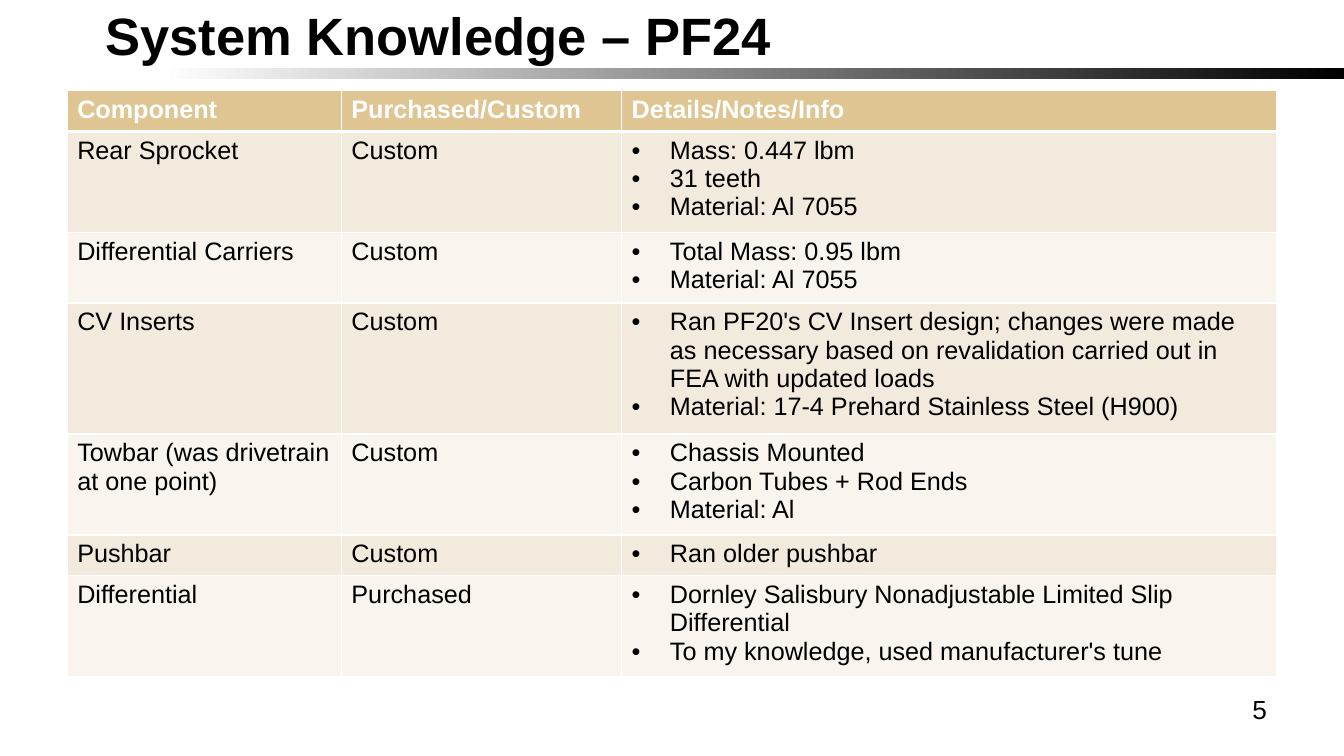
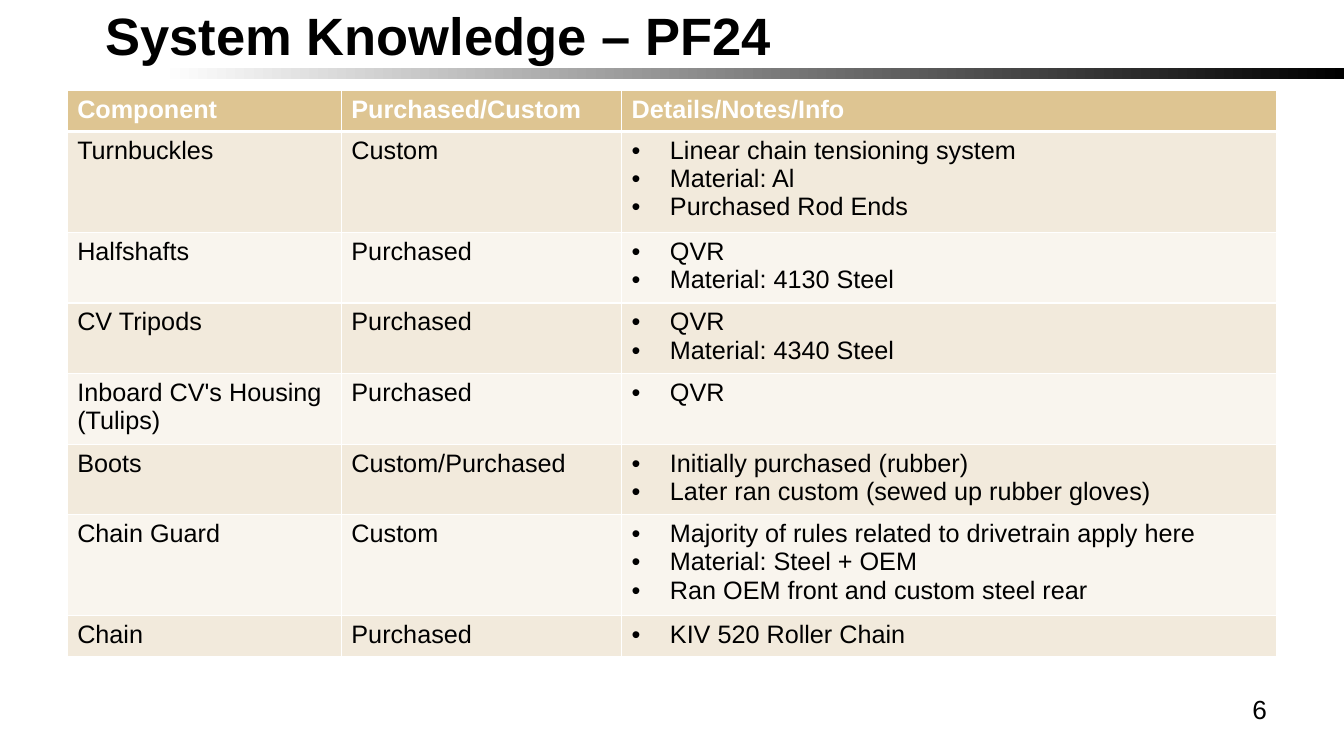
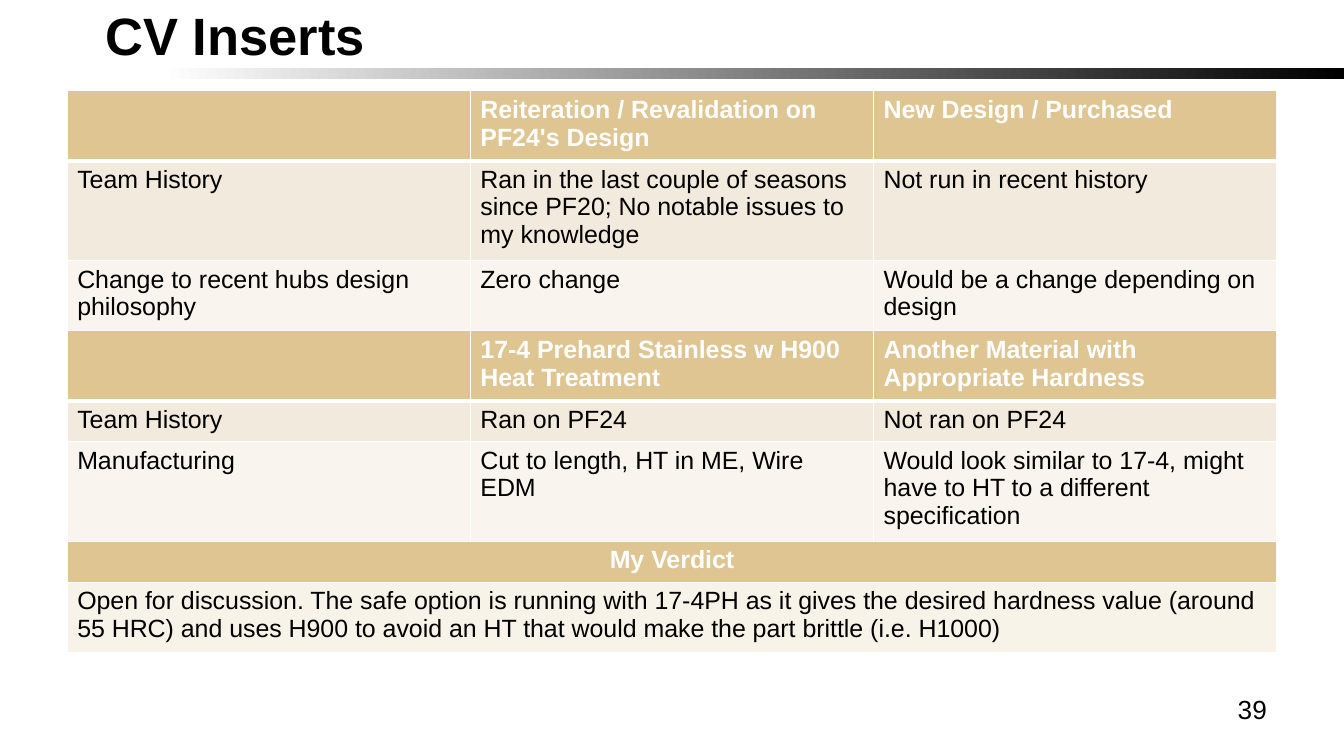
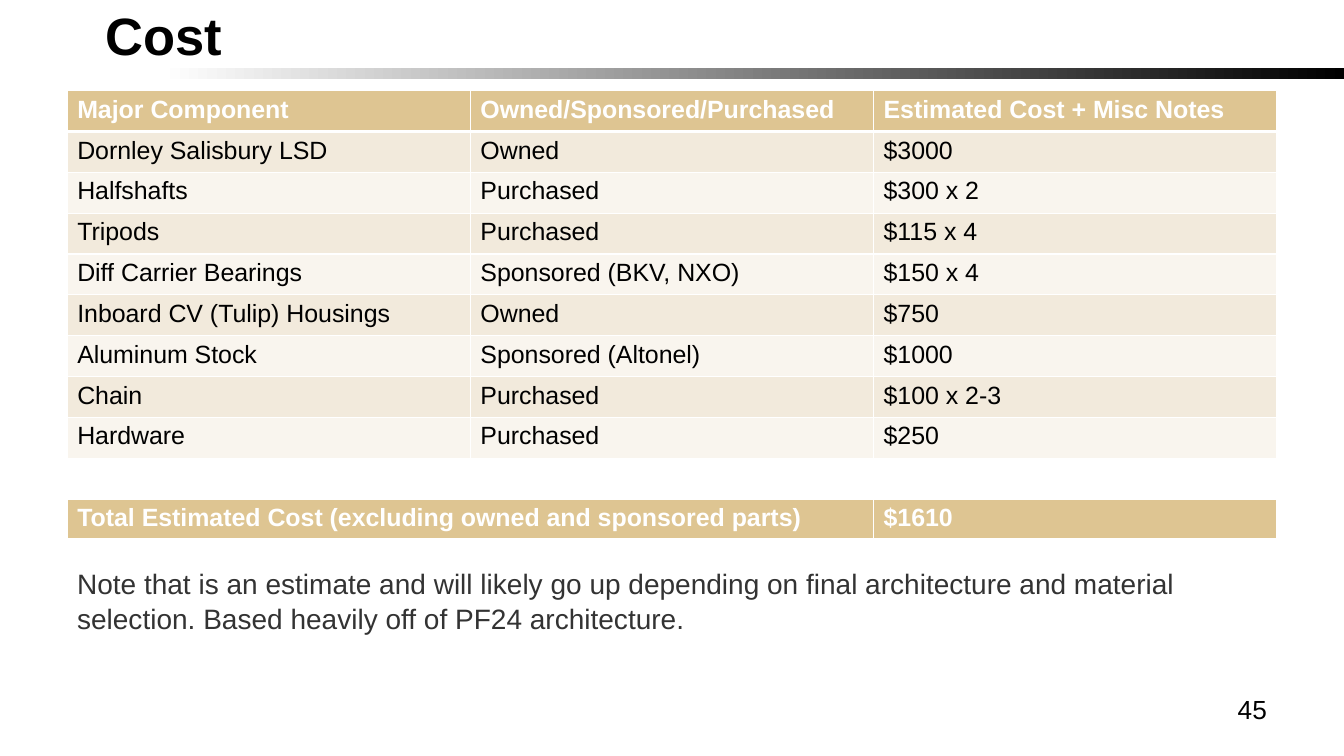
"""Build four drivetrain review slides with tables, and save them."""
from lxml.etree import SubElement
from pptx import Presentation
from pptx.dml.color import RGBColor
from pptx.enum.shapes import MSO_SHAPE
from pptx.enum.text import MSO_ANCHOR, PP_ALIGN
from pptx.oxml.ns import qn
from pptx.util import Inches, Pt

theme = {
    "black": RGBColor.from_string("000000"),
    "white": RGBColor.from_string("FFFFFF"),
    "gray": RGBColor.from_string("333333"),
    "gold": RGBColor.from_string("DEC592"),
    "sand": RGBColor.from_string("F2EADC"),
    "cream": RGBColor.from_string("F9F5EE"),
    "pale": RGBColor.from_string("F8F3E9"),
    "font": "Arial", "title": 37.5, "page": 18.7, "note": 20,
    "large": 18, "small": 17.8, "thin": 1, "thick": 3,
}

deck = Presentation()
deck.slide_width, deck.slide_height = Inches(13.33), Inches(7.5)
wide, high = deck.slide_width, deck.slide_height
side = wide / 20
span = wide - 2 * side
unit = span / 12
line = high / 18.5
top = high * 0.12
blank = deck.slide_layouts[6]


def write(par, text, size, tint, bold=False, **form):
    """Put one styled run in a paragraph."""
    for key, val in form.items():
        setattr(par, key, val)
    run = par.add_run()
    run.text = text
    look = {"name": theme["font"], "size": Pt(theme[size]), "bold": bold}
    for key, val in look.items():
        setattr(run.font, key, val)
    run.font.color.rgb = theme[tint]


def frame(slide, x, y, w, h, **form):
    """Add a wrapping text box and return its first paragraph."""
    text = slide.shapes.add_textbox(int(x), int(y), int(w), int(h)).text_frame
    for key, val in {"word_wrap": True, **form}.items():
        setattr(text, key, val)
    return text.paragraphs[0]


parts = ["Component", "Purchased/Custom", "Details/Notes/Info"]
mixed, even = [2.72, 2.78, 6.5], [4, 4, 4]

slides = [
    ("System Knowledge – PF24", "5", "large", [(top, mixed, [
        parts,
        ["Rear Sprocket", "Custom", ("Mass: 0.447 lbm", "31 teeth", "Material: Al 7055")],
        ["Differential Carriers", "Custom", ("Total Mass: 0.95 lbm", "Material: Al 7055")],
        ["CV Inserts", "Custom", (
            "Ran PF20's CV Insert design; changes were made as necessary based on "
            "revalidation carried out in FEA with updated loads",
            "Material: 17-4 Prehard Stainless Steel (H900)")],
        ["Towbar (was drivetrain at one point)", "Custom",
         ("Chassis Mounted", "Carbon Tubes + Rod Ends", "Material: Al")],
        ["Pushbar", "Custom", ("Ran older pushbar",)],
        ["Differential", "Purchased", (
            "Dornley Salisbury Nonadjustable Limited Slip Differential",
            "To my knowledge, used manufacturer's tune")],
    ])], ""),
    ("System Knowledge – PF24", "6", "large", [(top, mixed, [
        parts,
        ["Turnbuckles", "Custom",
         ("Linear chain tensioning system", "Material: Al", "Purchased Rod Ends")],
        ["Halfshafts", "Purchased", ("QVR", "Material: 4130 Steel")],
        ["CV Tripods", "Purchased", ("QVR", "Material: 4340 Steel")],
        ["Inboard CV's Housing (Tulips)", "Purchased", ("QVR",)],
        ["Boots", "Custom/Purchased",
         ("Initially purchased (rubber)", "Later ran custom (sewed up rubber gloves)")],
        ["Chain Guard", "Custom", (
            "Majority of rules related to drivetrain apply here",
            "Material: Steel + OEM", "Ran OEM front and custom steel rear")],
        ["Chain", "Purchased", ("KIV 520 Roller Chain",)],
    ])], ""),
    ("CV Inserts", "39", "small", [(top, even, [
        ["", "Reiteration / Revalidation on PF24's Design", "New Design / Purchased"],
        ["Team History",
         "Ran in the last couple of seasons since PF20; No notable issues to my knowledge",
         "Not run in recent history"],
        ["Change to recent hubs design philosophy", "Zero change",
         "Would be a change depending on design"],
    ]), (high * 0.4375, even, [
        ["", "17-4 Prehard Stainless w H900 Heat Treatment",
         "Another Material with Appropriate Hardness"],
        ["Team History", "Ran on PF24", "Not ran on PF24"],
        ["Manufacturing", "Cut to length, HT in ME, Wire EDM",
         "Would look similar to 17-4, might have to HT to a different specification"],
        ["My Verdict"],
        ["Open for discussion. The safe option is running with 17-4PH as it gives the "
         "desired hardness value (around 55 HRC) and uses H900 to avoid an HT that would "
         "make the part brittle (i.e. H1000)"],
    ])], ""),
    ("Cost", "45", "small", [(top, even, [
        ["Major Component", "Owned/Sponsored/Purchased", "Estimated Cost + Misc Notes"],
        ["Dornley Salisbury LSD", "Owned", "$3000"],
        ["Halfshafts", "Purchased", "$300 x 2"],
        ["Tripods", "Purchased", "$115 x 4"],
        ["Diff Carrier Bearings", "Sponsored (BKV, NXO)", "$150 x 4"],
        ["Inboard CV (Tulip) Housings", "Owned", "$750"],
        ["Aluminum Stock", "Sponsored (Altonel)", "$1000"],
        ["Chain", "Purchased", "$100 x 2-3"],
        ["Hardware", "Purchased", "$250"],
    ]), (high * 0.66, [8, 4], [
        ["Total Estimated Cost (excluding owned and sponsored parts)", "$1610"],
    ])], "Note that is an estimate and will likely go up depending on final architecture "
         "and material selection. Based heavily off of PF24 architecture."),
]

for title, page, size, grids, note in slides:
    slide = deck.slides.add_slide(blank)

    band = slide.shapes.add_shape(
        MSO_SHAPE.RECTANGLE, 0, int(high * 0.09), wide, Inches(0.11))
    band.shadow.inherit = False
    band.line.fill.background()
    band.fill.gradient()
    band.fill.gradient_angle = 180
    for stop, spot, tint in zip(band.fill.gradient_stops, (0, 0.88), ("black", "white")):
        stop.position = spot
        stop.color.rgb = theme[tint]

    par = frame(slide, side, high * 0.03, wide * 0.65, Inches(0.43),
                vertical_anchor=MSO_ANCHOR.BOTTOM, margin_left=Inches(0.38), margin_bottom=0)
    write(par, title, "title", "black", True)
    par = frame(slide, side + span - Inches(3.11), high * 0.91, Inches(3.11), Inches(0.52))
    write(par, page, "page", "black", alignment=PP_ALIGN.RIGHT)

    for y, cols, rows in grids:
        table = slide.shapes.add_table(
            len(rows), len(cols), int(side), int(y), int(span), int(line * len(rows))).table
        for col, share in zip(table.columns, cols):
            col.width = int(unit * share)
        for r, row in enumerate(rows):
            lone = len(row) == 1
            head = r == 0 or lone and r < len(rows) - 1
            fill = "gold" if head else "pale" if lone else "sand" if r % 2 else "cream"
            edges = {"L": "thin", "R": "thin", "T": "thick" if r == 1 else "thin",
                     "B": "thick" if r == 0 else "thin"}
            if lone:
                table.cell(r, 0).merge(table.cell(r, len(cols) - 1))
            for c in range(len(cols)):
                cell = table.cell(r, c)
                props = cell._tc.get_or_add_tcPr()
                for edge, width in edges.items():
                    rule = SubElement(props, qn("a:ln" + edge), w=str(Pt(theme[width])))
                    paint = SubElement(rule, qn("a:solidFill"))
                    SubElement(paint, qn("a:srgbClr"), val=str(theme["white"]))
                cell.fill.solid()
                cell.fill.fore_color.rgb = theme[fill]
                if c >= len(row) or not row[c]:
                    continue
                list_ = isinstance(row[c], tuple)
                for i, text in enumerate(row[c] if list_ else [row[c]]):
                    par = cell.text_frame.add_paragraph() if i else cell.text_frame.paragraphs[0]
                    write(par, text, size, "white" if head else "black", head,
                          alignment=PP_ALIGN.CENTER if lone and head else PP_ALIGN.LEFT)
                    if list_:
                        form = par._p.get_or_add_pPr()
                        for key, val in {"marL": 0.38, "indent": -0.38}.items():
                            form.set(key, str(Inches(val)))
                        SubElement(form, qn("a:buFont"), typeface=theme["font"])
                        SubElement(form, qn("a:buChar"), char="•")

    if note:
        par = frame(slide, side, high * 0.74, span, Inches(1))
        write(par, note, "note", "gray", line_spacing=1.06)

deck.save("out.pptx")
